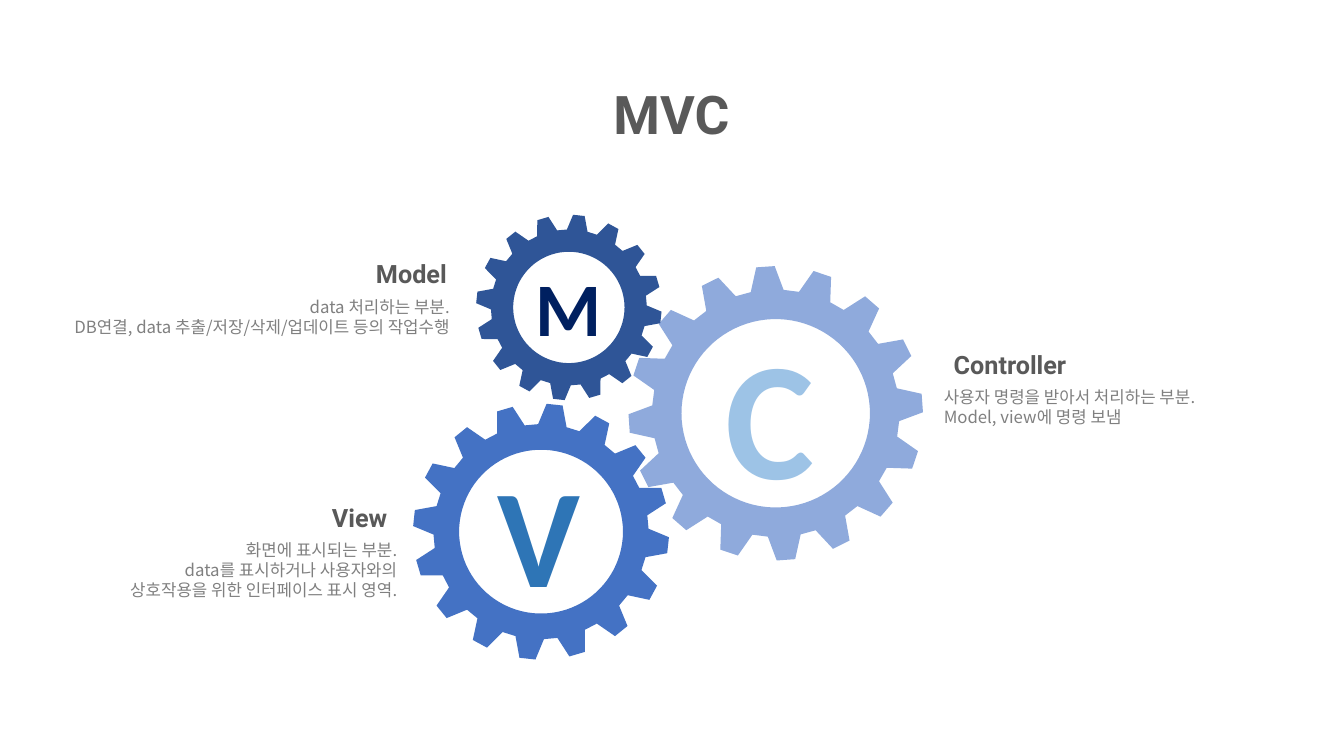
from dataclasses import dataclass
from math import cos, radians, sin

from lxml import etree
from pptx import Presentation
from pptx import util as u
from pptx.dml.color import RGBColor
from pptx.enum import text as t
from pptx.oxml.ns import qn

# Colours
NAVY = RGBColor(0x2F, 0x55, 0x97)
BLUE = RGBColor(0x44, 0x72, 0xC4)
PALE = RGBColor(0x8F, 0xAA, 0xDC)
DARK = RGBColor(0x00, 0x20, 0x60)
SKY = RGBColor(0x9D, 0xC3, 0xE6)
TEAL = RGBColor(0x2E, 0x75, 0xB6)
HEAD = RGBColor(0x59, 0x59, 0x59)
GRAY = RGBColor(0x80, 0x80, 0x80)

WIDE, HIGH = u.Inches(13.33), u.Inches(7.5)
TEETH = 16
ROOT = 0.84  # root radius as a share of the tip radius
HALF = 3.6  # half the angle of a tooth tip or root, in degrees

Box = tuple[float, float, float, float]  # left, top, width, height in percent
RIGHT, LEFT = t.PP_ALIGN.RIGHT, t.PP_ALIGN.LEFT


@dataclass
class Gear:
    x: float  # centre, percent of slide width
    y: float  # centre, percent of slide height
    size: float  # tip radius, percent of slide height
    hole: float  # hole radius as a share of the tip radius
    turn: float  # angle of the first tooth
    fill: RGBColor


@dataclass
class Letter:
    text: str
    box: Box
    size: int
    color: RGBColor


@dataclass
class Note:
    title: str
    top: Box
    lines: list[str]
    body: Box
    align: t.PP_ALIGN


GEARS = [
    Gear(40.26, 70.33, 16.93, 0.64, 6.1, BLUE),
    Gear(57.72, 54.67, 19.47, 0.64, -4, PALE),
    Gear(42.33, 40.67, 12.27, 0.6, 6.2, NAVY),
]
LETTERS = [
    Letter("M", (39.08, 33.87, 6.45, 13.47), 54, DARK),
    Letter("C", (53.26, 40.53, 8.1, 28.27), 120, SKY),
    Letter("V", (36.31, 58.53, 7.73, 23.73), 100, TEAL),
]
NOTES = [
    Note("View", (13.05, 66.53, 16.5, 3.87),
         ["화면에 표시되는 부분.",
          "data를 표시하거나 사용자와의 상호작용을 위한 인터페이스 표시 영역."],
         (7.8, 71.33, 21.76, 8.13), RIGHT),
    Note("Controller", (70.22, 46.27, 16.5, 3.87),
         ["사용자 명령을 받아서 처리하는 부분.", "Model, view에 명령 보냄"],
         (70.22, 51.2, 20.56, 5.33), LEFT),
    Note("Model", (17.48, 34.27, 16.5, 3.87),
         ["data 처리하는 부분.\vDB연결, data 추출/저장/삭제/업데이트 등의 작업수행"],
         (3.38, 39.2, 30.08, 8.13), RIGHT),
]


def place(box: Box) -> list[int]:
    return [round(side * part / 100)
            for side, part in zip((WIDE, HIGH, WIDE, HIGH), box)]


def style(para, font: str, size: int, color: RGBColor, bold: bool) -> None:
    face = para.font
    face.name, face.size, face.bold = font, u.Pt(size), bold
    face.color.rgb = color
    # Korean glyphs use the same face
    base = para._p.pPr.find(qn("a:defRPr"))
    latin = base.find(qn("a:latin"))
    east = etree.Element(qn("a:ea"), typeface=font)
    latin.addnext(east)


def draw_gear(slide, gear: Gear) -> None:
    def spot(angle: float, share: float) -> tuple[float, float]:
        reach = HIGH * gear.size / 100 * share
        return (WIDE * gear.x / 100 + reach * cos(radians(angle)),
                HIGH * gear.y / 100 + reach * sin(radians(angle)))

    step = 360 / TEETH
    rim = [spot(gear.turn + step * (i + half) + side, share)
           for i in range(TEETH)
           for half, share in ((0, 1), (0.5, ROOT))
           for side in (-HALF, HALF)]
    ring = [spot(angle, gear.hole) for angle in range(0, 360, 4)]
    form = slide.shapes.build_freeform(*rim[0], scale=1.0)
    form.add_line_segments(rim[1:])
    form.move_to(*ring[0])
    form.add_line_segments(ring[1:])
    shape = form.convert_to_shape()
    shape.shadow.inherit = False
    shape.fill.solid()
    shape.fill.fore_color.rgb = gear.fill
    shape.line.fill.background()


def draw_letter(slide, item: Letter) -> None:
    frame = slide.shapes.add_textbox(*place(item.box)).text_frame
    frame.word_wrap = False
    frame.auto_size = t.MSO_AUTO_SIZE.SHAPE_TO_FIT_TEXT
    frame.text = item.text
    style(frame.paragraphs[0], "Calibri", item.size, item.color, True)


def draw_note(slide, note: Note) -> None:
    head = slide.shapes.add_textbox(*place(note.top)).text_frame
    head.word_wrap = True
    head.vertical_anchor = t.MSO_ANCHOR.MIDDLE
    head.text = note.title
    head.paragraphs[0].alignment = note.align
    style(head.paragraphs[0], "Roboto", 18, HEAD, True)

    body = slide.shapes.add_textbox(*place(note.body)).text_frame
    body.word_wrap = True
    body.margin_left = body.margin_right = 0
    body.margin_top = body.margin_bottom = 0
    body.text = "\n".join(note.lines)
    for para in body.paragraphs:
        para.alignment = note.align
        style(para, "Noto Sans CJK KR", 12, GRAY, False)


def draw_title(slide, label: str) -> None:
    title = slide.shapes.title
    title.left, title.top, title.width, title.height = place(
        (12.45, 10, 75.02, 10.93))
    frame = title.text_frame
    frame.auto_size = t.MSO_AUTO_SIZE.NONE
    frame.vertical_anchor = t.MSO_ANCHOR.MIDDLE
    frame.text = label
    para = frame.paragraphs[0]
    para.alignment = t.PP_ALIGN.CENTER
    para.line_spacing = 0.9
    style(para, "Roboto", 38, HEAD, True)


def main() -> None:
    deck = Presentation()
    deck.slide_width, deck.slide_height = WIDE, HIGH
    slide = deck.slides.add_slide(deck.slide_layouts[5])
    for gear in GEARS:
        draw_gear(slide, gear)
    draw_title(slide, "MVC")
    for item in LETTERS:
        draw_letter(slide, item)
    for note in NOTES:
        draw_note(slide, note)
    deck.save("out.pptx")


if __name__ == "__main__":
    main()
